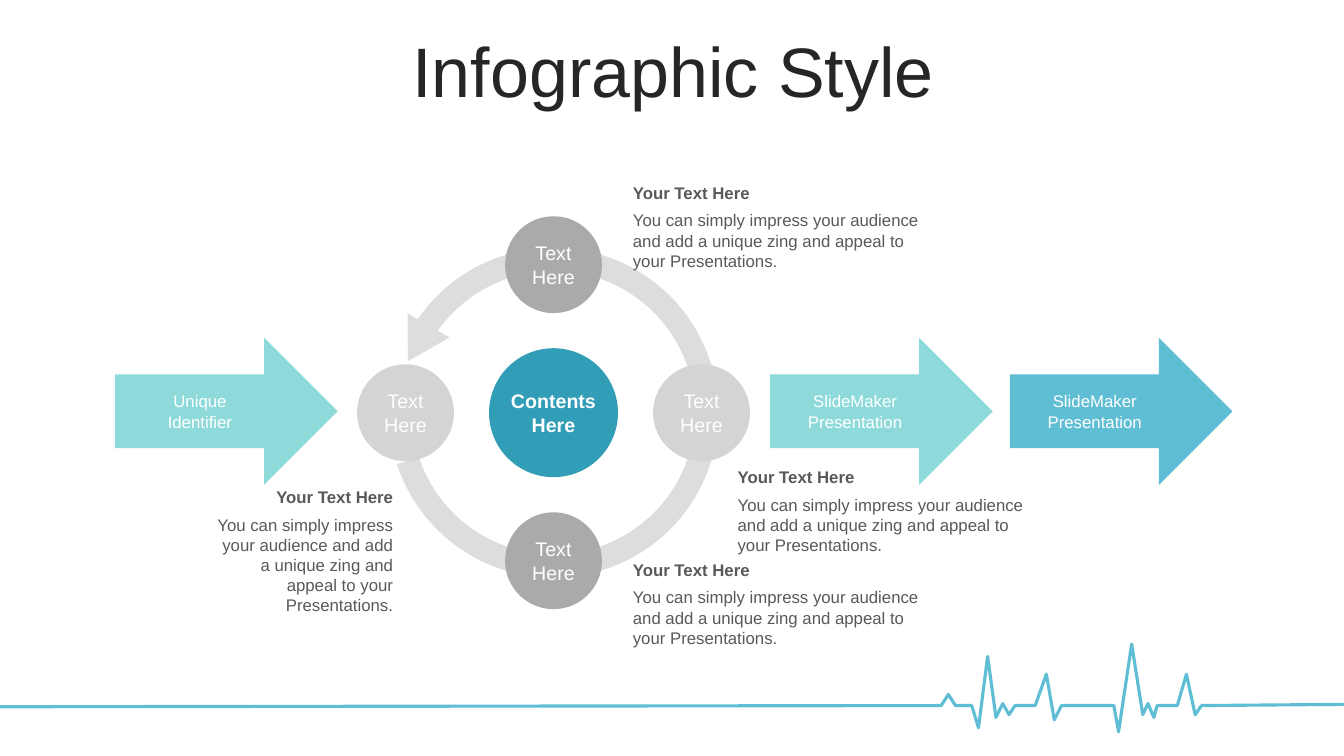
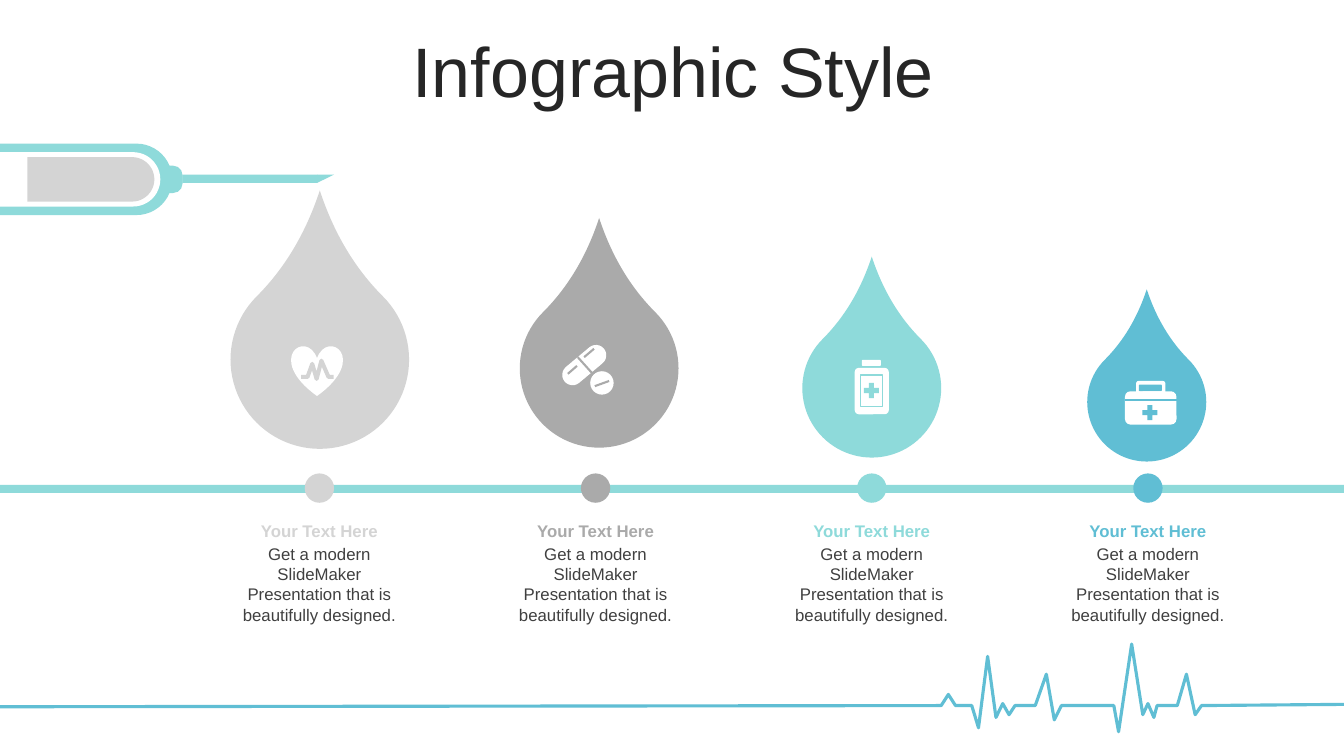
import dataclasses
import itertools
import math

import lxml.etree
import pptx
import pptx.dml.color
import pptx.enum.shapes
import pptx.enum.text
import pptx.oxml.ns
import pptx.util

Cm = pptx.util.Cm
Pt = pptx.util.Pt
SHAPE = pptx.enum.shapes.MSO_SHAPE
ALIGN = pptx.enum.text.PP_ALIGN
ANCHOR = pptx.enum.text.MSO_ANCHOR


@dataclasses.dataclass(frozen=True)
class Theme:
    font: str = "Arial"
    title: str = "262626"
    note: str = "595959"
    caption: str = "404040"
    white: str = "FFFFFF"
    mint: str = "8EDADA"
    sky: str = "60BED4"
    teal: str = "319DB6"
    light: str = "D4D4D4"
    mid: str = "AAAAAA"
    ring: str = "DDDDDD"
    title_size: int = 50
    node_size: int = 14
    text_size: int = 12


T = Theme()
WIDTH, HEIGHT = 33.87, 19.05
NO_MARGINS = dict.fromkeys(("margin_left", "margin_top", "margin_right", "margin_bottom"), 0)
PULSE = [
    (33.87, 17.75), (30.28, 17.78), (30.12, 18.01), (29.9, 16.99), (29.67, 17.78),
    (29.16, 17.78), (29.08, 18.08), (28.93, 17.73), (28.8, 18.01), (28.52, 16.23),
    (28.19, 18.44), (28.07, 17.78), (26.75, 17.78), (26.57, 18.14), (26.37, 16.99),
    (26.09, 17.78), (25.58, 17.78), (25.43, 18.01), (25.27, 17.73), (25.1, 18.08),
    (24.89, 16.54), (24.66, 18.34), (24.49, 17.78), (24.08, 17.78), (23.9, 17.5),
    (23.72, 17.78), (0, 17.81),
]
HEARTBEAT = [
    (7.59, 9.5), (7.75, 9.5), (7.87, 9.17), (7.98, 9.55), (8.1, 9.09), (8.28, 9.5), (8.41, 9.5),
]


def rgb(color):
    return pptx.dml.color.RGBColor.from_string(color)


def set_format(obj, fmt):
    for name, value in fmt.items():
        setattr(obj, name, value)


def write(p, text, size, color, bold=False, **fmt):
    set_format(p, fmt)
    r = p.add_run()
    r.text = text
    set_format(r.font, {"name": T.font, "size": Pt(size), "bold": bold})
    r.font.color.rgb = rgb(color)


def add_shape(s, kind, box, fill, rotation=0, adjust=()):
    sp = s.shapes.add_shape(kind, *map(Cm, box))
    sp.shadow.inherit = False
    sp.rotation = rotation
    sp.fill.solid()
    sp.fill.fore_color.rgb = rgb(fill)
    sp.line.fill.background()
    for i, value in enumerate(adjust):
        sp.adjustments[i] = value
    return sp


def centred(cx, cy, size):
    return cx - size / 2, cy - size / 2, size, size


def label(sp, text, size, bold=False, **margins):
    tf = sp.text_frame
    set_format(tf, {**NO_MARGINS, **margins, "word_wrap": True, "vertical_anchor": ANCHOR.MIDDLE})
    write(tf.paragraphs[0], text, size, T.white, bold, alignment=ALIGN.CENTER)


def add_node(s, cx, cy, size, fill, text, bold=False):
    sp = add_shape(s, SHAPE.OVAL, centred(cx, cy, size), fill)
    label(sp, text, T.node_size, bold)


def add_arrow(s, x, fill, text):
    sp = add_shape(s, SHAPE.RIGHT_ARROW, (x, 8.51, 5.61, 3.71), fill)
    label(sp, text, T.text_size, margin_left=Cm(0.85), margin_right=Cm(1.25))


def add_note(s, box, heading, body, colors, gap, align):
    tf = s.shapes.add_textbox(*map(Cm, box)).text_frame
    tf.word_wrap = True
    write(tf.paragraphs[0], heading, T.text_size, colors[0], True, alignment=align)
    write(tf.add_paragraph(), body, T.text_size, colors[1], alignment=align, space_before=Pt(gap))


def add_path(s, points, color, width):
    points = [(Cm(x), Cm(y)) for x, y in points]
    fb = s.shapes.build_freeform(*points[0], scale=1.0)
    fb.add_line_segments(points[1:], close=False)
    sp = fb.convert_to_shape()
    sp.shadow.inherit = False
    sp.fill.background()
    sp.line.color.rgb = rgb(color)
    sp.line.width = Pt(width)
    ln = sp.line._get_or_add_ln()
    lxml.etree.SubElement(ln, pptx.oxml.ns.qn("a:round"))
    return sp


def add_line(s, ends, color, width):
    c = s.shapes.add_connector(pptx.enum.shapes.MSO_CONNECTOR.STRAIGHT, *map(Cm, ends))
    c.line.color.rgb = rgb(color)
    c.line.width = Pt(width)
    lxml.etree.SubElement(c._element.spPr, pptx.oxml.ns.qn("a:effectLst"))


def add_slide(prs, layout, title):
    s = prs.slides.add_slide(layout)
    tf = s.shapes.title.text_frame
    set_format(tf, {"vertical_anchor": ANCHOR.MIDDLE, "word_wrap": True,
                    "auto_size": pptx.enum.text.MSO_AUTO_SIZE.NONE})
    write(tf.paragraphs[0], title, T.title_size, T.title, alignment=ALIGN.CENTER, line_spacing=0.8)
    return s


def prepare_layout(prs):
    layout = prs.slide_layouts.get_by_name("Title Only")
    for ph in list(layout.placeholders):
        if ph.placeholder_format.idx:
            ph._element.getparent().remove(ph._element)
        else:
            set_format(ph, {"left": Cm(0.89), "top": Cm(0.94),
                            "width": Cm(32.16), "height": Cm(2.01)})
    return layout


def add_cycle(s):
    cx, cy, reach = 13.95, 10.4, 3.73
    add_shape(s, SHAPE.BLOCK_ARC, centred(cx, cy, 8.31), T.ring, adjust=(128.351, 97.082, 0.07))
    add_shape(s, SHAPE.ISOSCELES_TRIANGLE, (9.93, 8.13, 1.22, 1.04), T.ring, 210)
    for i, fill in zip(range(4), itertools.cycle((T.light, T.mid))):
        angle = math.radians(90 * i)
        x, y = cx + reach * math.cos(angle), cy + reach * math.sin(angle)
        add_node(s, x, y, 2.44, fill, "Text Here")
    add_node(s, cx, cy, 3.25, T.teal, "Contents Here", True)


def fill_cycle_slide(s):
    for x, fill, text in (
        (2.9, T.mint, "Unique Identifier"),
        (19.41, T.mint, "SlideMaker Presentation"),
        (25.45, T.sky, "SlideMaker Presentation"),
    ):
        add_arrow(s, x, fill, text)
    add_cycle(s)
    body = "You can simply impress your audience and add a unique zing and appeal to your Presentations."
    for box, align in (
        ((15.7, 4.47, 8.15, 2.5), ALIGN.LEFT),
        ((18.34, 11.63, 8.15, 2.5), ALIGN.LEFT),
        ((15.7, 13.97, 8.15, 2.5), ALIGN.LEFT),
        ((5.11, 12.14, 5.05, 3.6), ALIGN.RIGHT),
    ):
        add_note(s, box, "Your Text Here", body, (T.note, T.note), 5.5, align)


def add_syringe(s):
    axis = 4.52
    for x, length, thickness, fill in (
        (0, 4.34, 1.8, T.mint),
        (0, 4.04, 1.37, T.white),
        (4.12, 0.48, 0.69, T.mint),
        (0.69, 3.2, 1.12, T.light),
    ):
        box = (x + (length - thickness) / 2, axis - length / 2, thickness, length)
        add_shape(s, SHAPE.ROUND_2_SAME_RECTANGLE, box, fill, 90, (0.5, 0))
    add_shape(s, SHAPE.RECTANGLE, (4.6, 4.4, 3.4, 0.21), T.mint)
    add_shape(s, SHAPE.RIGHT_TRIANGLE, (8.1, 4.29, 0.21, 0.43), T.mint, 90)


def add_plus(s, cx, cy, color):
    add_shape(s, SHAPE.CROSS, centred(cx, cy, 0.38), color, adjust=(0.33,))


def add_heart(s, color):
    add_shape(s, SHAPE.HEART, (7.34, 8.71, 1.3, 1.27), T.white)
    add_path(s, HEARTBEAT, color, 2.9)


def add_pills(s, color):
    add_shape(s, SHAPE.ROUNDED_RECTANGLE, (14.08, 8.94, 1.29, 0.52), T.white, -40, (0.5,))
    add_shape(s, SHAPE.OVAL, centred(15.17, 9.65, 0.59), T.white)
    for ends in (
        (14.56, 9, 14.92, 9.4),
        (14.31, 9.42, 14.54, 9.22),
        (14.72, 9, 14.97, 8.79),
        (14.99, 9.73, 15.35, 9.6),
    ):
        add_line(s, ends, color, 1.5)


def add_bottle(s, color):
    add_shape(s, SHAPE.ROUNDED_RECTANGLE, (21.54, 9.27, 0.86, 1.17), T.white, adjust=(0.12,))
    add_shape(s, SHAPE.ROUNDED_RECTANGLE, (21.72, 9.07, 0.48, 0.15), T.white)
    sp = add_shape(s, SHAPE.RECTANGLE, (21.69, 9.45, 0.55, 0.8), T.white)
    sp.line.color.rgb = rgb(color)
    sp.line.width = Pt(1)
    add_plus(s, 21.96, 9.84, color)


def add_kit(s, color):
    add_shape(s, SHAPE.ROUNDED_RECTANGLE, (28.63, 9.6, 0.74, 0.4), T.white)
    add_shape(s, SHAPE.ROUNDED_RECTANGLE, (28.7, 9.69, 0.58, 0.17), color)
    add_shape(s, SHAPE.ROUNDED_RECTANGLE, (28.35, 9.86, 1.3, 0.84), T.white)
    add_line(s, (28.35, 10.08, 29.65, 10.08), color, 1.4)
    add_plus(s, 28.98, 10.4, color)


def fill_drops_slide(s):
    add_syringe(s)
    axis = 12.3
    add_shape(s, SHAPE.RECTANGLE, (0, axis - 0.08, WIDTH, 0.2), T.mint)
    body = "Get a modern SlideMaker Presentation that is beautifully designed."
    for i, (x, y, color, add_icon) in enumerate((
        (8.06, 9.06, T.light, add_heart),
        (15.1, 9.28, T.mid, add_pills),
        (21.97, 9.78, T.mint, add_bottle),
        (28.9, 10.13, T.sky, add_kit),
    )):
        column = 8.05 + 6.96 * i
        add_shape(s, SHAPE.TEAR, centred(x, y, 4.5 - 0.5 * i), color, 315, (1.339,))
        add_icon(s, color)
        add_shape(s, SHAPE.OVAL, centred(column, axis, 0.74), color)
        add_note(s, (column - 2.36, 13, 4.72, 2.9), "Your Text Here", body,
                 (color, T.caption), 2, ALIGN.CENTER)


def main():
    prs = pptx.Presentation()
    set_format(prs, {"slide_width": Cm(WIDTH), "slide_height": Cm(HEIGHT)})
    layout = prepare_layout(prs)
    cycle, drops = [add_slide(prs, layout, "Infographic Style") for _ in range(2)]
    pulse = add_path(cycle, PULSE, T.sky, 2.25)
    layout.shapes._spTree.append(pulse._element)
    fill_cycle_slide(cycle)
    fill_drops_slide(drops)
    prs.save("out.pptx")


if __name__ == "__main__":
    main()
